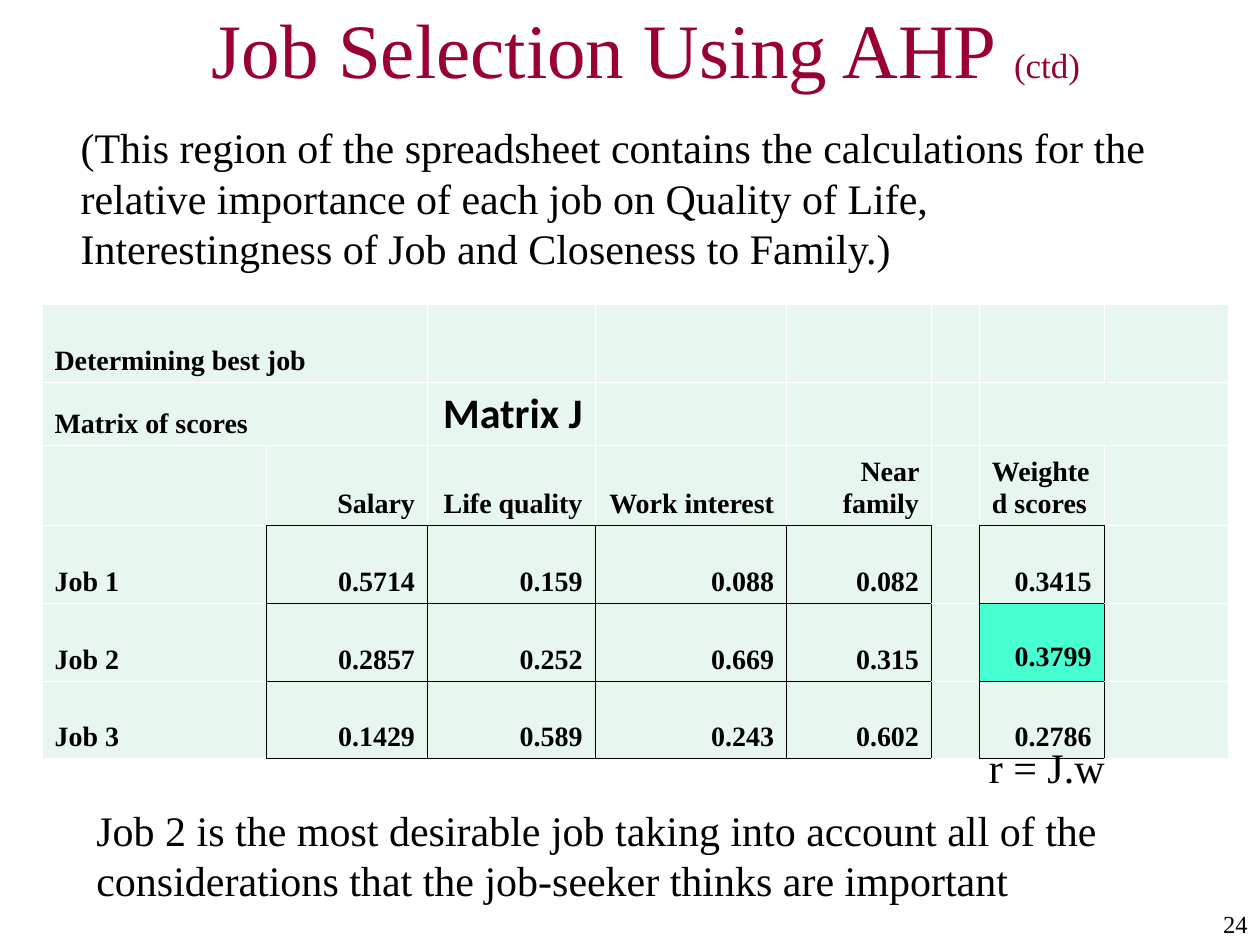
from pptx import Presentation
from pptx.dml.color import RGBColor
from pptx.enum.text import MSO_ANCHOR as Anchor, PP_ALIGN as Align
from pptx.oxml.ns import qn
from pptx.util import Pt
from lxml.etree import SubElement

SERIF = "Times New Roman"
BLACK, WHITE, MAROON = "000000", "FFFFFF", "990033"
MINT, HIGHLIGHT = "E7F6EF", "47FFD1"

COL_WIDTHS = [128.16, 92.16, 95.76, 109.44, 82.8, 27.36, 71.28, 71.28]
ROW_HEIGHTS = [44.64, 28.8, 43.2, 44.64, 44.64, 43.92]
ROWS = [
    ["Determining best job", "", "", "", "", "", "", ""],
    ["Matrix of scores", "", "Matrix J", "", "", "", "", ""],
    ["", "Salary", "Life quality", "Work interest", "Near family", "", "Weighted scores", ""],
    ["Job 1", "0.5714", "0.159", "0.088", "0.082", "", "0.3415", ""],
    ["Job 2", "0.2857", "0.252", "0.669", "0.315", "", "0.3799", ""],
    ["Job 3", "0.1429", "0.589", "0.243", "0.602", "", "0.2786", ""],
]
MERGES = [((0, 0), (0, 1)), ((1, 0), (1, 1)), ((1, 6), (1, 7))]
BEST = (4, 6)
SIDES = [("a:lnL", 0, -1), ("a:lnR", 0, 1), ("a:lnT", -1, 0), ("a:lnB", 1, 0)]


def rgb(value):
    return RGBColor.from_string(value)


def add_run(p, text, size, color=BLACK, font=SERIF, bold=False):
    r = p.add_run()
    r.text = text
    r.font.name, r.font.size, r.font.bold = font, Pt(size), bold
    r.font.color.rgb = rgb(color)


def add_text(slide, box, runs, align=Align.LEFT, anchor=Anchor.TOP):
    """Place one paragraph; each run is (text, size, color)."""
    tf = slide.shapes.add_textbox(*map(Pt, box)).text_frame
    tf.word_wrap = True
    tf.vertical_anchor = anchor
    p = tf.paragraphs[0]
    p.alignment = align
    for run in runs:
        add_run(p, *run)


def is_boxed(row, col):
    """True for the score cells, which have a black outline."""
    return 3 <= row <= 5 and col in (1, 2, 3, 4, 6)


def set_borders(cell, row, col):
    tc_pr = cell._tc.get_or_add_tcPr()
    for tag, d_row, d_col in SIDES:
        black = is_boxed(row, col) or is_boxed(row + d_row, col + d_col)
        ln = SubElement(tc_pr, qn(tag), w=str(Pt(0.45)))
        fill = SubElement(ln, qn("a:solidFill"))
        SubElement(fill, qn("a:srgbClr"), val=BLACK if black else WHITE)


def fill_cell(cell, row, col, text):
    set_borders(cell, row, col)
    cell.fill.solid()
    cell.fill.fore_color.rgb = rgb(HIGHLIGHT if (row, col) == BEST else MINT)
    cell.vertical_anchor = Anchor.BOTTOM
    if (row, col) == BEST:
        cell.margin_bottom = Pt(5.4)
    if text:
        p = cell.text_frame.paragraphs[0]
        left = col == 0 or text == "Weighted scores"
        p.alignment = Align.LEFT if left else Align.RIGHT
        if text == "Matrix J":
            add_run(p, text, 24, font="Calibri", bold=True)
        else:
            add_run(p, text, 16, bold=True)


def add_score_table(slide, left, top):
    size = (sum(COL_WIDTHS), sum(ROW_HEIGHTS))
    table = slide.shapes.add_table(
        len(ROWS), len(COL_WIDTHS), *map(Pt, (left, top, *size))).table
    table.first_row = table.horz_banding = False
    for column, width in zip(table.columns, COL_WIDTHS):
        column.width = Pt(width)
    for table_row, height in zip(table.rows, ROW_HEIGHTS):
        table_row.height = Pt(height)
    for start, end in MERGES:
        table.cell(*start).merge(table.cell(*end))
    for row, texts in enumerate(ROWS):
        for col, text in enumerate(texts):
            fill_cell(table.cell(row, col), row, col, text)


def main():
    prs = Presentation()
    prs.slide_width, prs.slide_height = Pt(720), Pt(540)
    slide = prs.slides.add_slide(prs.slide_layouts[6])

    add_text(slide, (114, 6, 606, 42),
             [("Job Selection Using AHP ", 44, MAROON), ("(ctd)", 20, MAROON)],
             anchor=Anchor.MIDDLE)
    add_text(slide, (618, 516, 102, 24), [("24", 14)], Align.RIGHT)
    add_score_table(slide, 24, 174)
    add_text(slide, (39, 66, 642, 94), [(
        "(This region of the spreadsheet contains the calculations for the "
        "relative importance of each job on Quality of Life, "
        "Interestingness of Job and Closeness to Family.)", 24)])
    add_text(slide, (558, 420, 117, 65), [("r = J.w", 24)])
    add_text(slide, (48, 456, 648, 65), [(
        "Job 2 is the most desirable job taking into account all of the "
        "considerations that the job-seeker thinks are important", 24)])
    prs.save("out.pptx")


if __name__ == "__main__":
    main()
